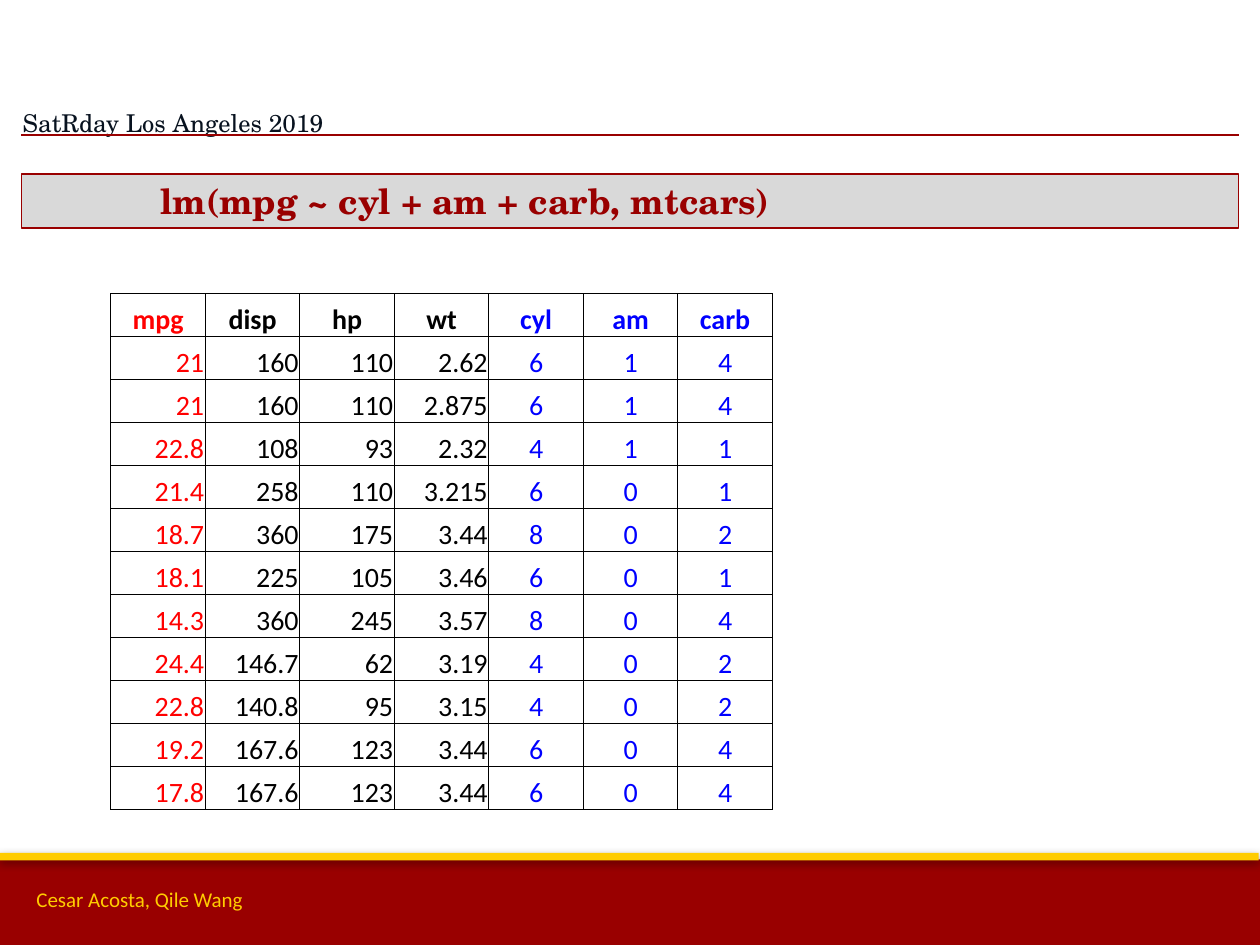
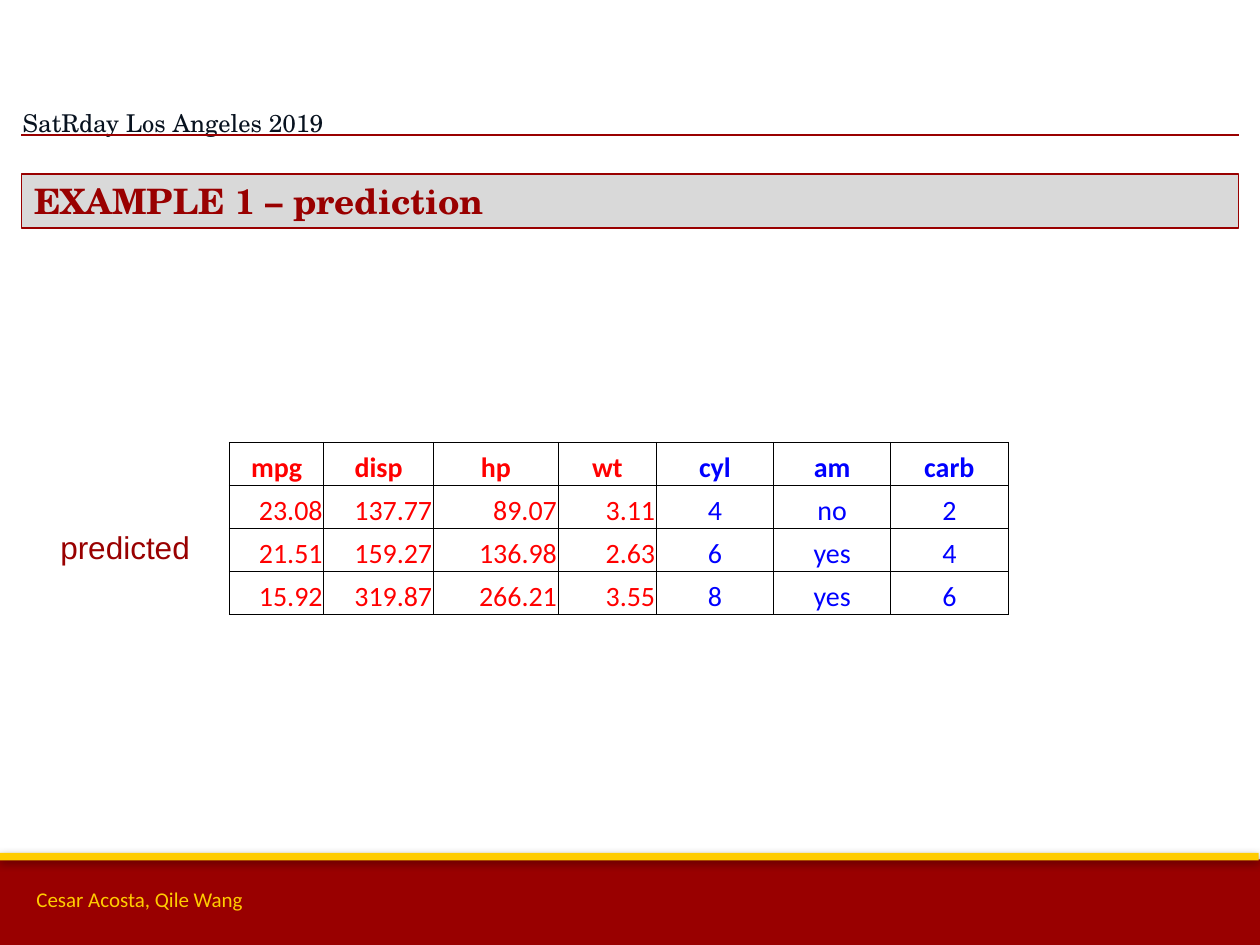
from lxml import etree
from pptx import Presentation
from pptx import util as u
from pptx.dml.color import RGBColor
from pptx.enum import shapes, text
from pptx.oxml import ns

COLOURS = {"cardinal": "990000", "gold": "FFCC00", "grey": "D9D9D9", "ink": "08121F",
           "red": "FF0000", "blue": "0000FF", "black": "000000"}
SERIF, SANS, LABEL = "TeX Gyre Schola", "Calibri", "Arial"

EVENT = "SatRday Los Angeles 2019"
AUTHORS = "Cesar Acosta, Qile Wang"
COLUMNS = ("mpg", "disp", "hp", "wt", "cyl", "am", "carb")
NUMERIC_COLUMNS = 4  # right-aligned; the remaining factor columns are centred

SLIDES = [
    {
        "title": "lm(mpg ~ cyl + am + carb, mtcars)",
        "title_indent": 1,
        "at": (0.88, 2.33),
        "widths": [0.75] * 7,
        "colours": ["red"] + ["black"] * 3 + ["blue"] * 3,
        "rows": [
            ("21", "160", "110", "2.62", "6", "1", "4"),
            ("21", "160", "110", "2.875", "6", "1", "4"),
            ("22.8", "108", "93", "2.32", "4", "1", "1"),
            ("21.4", "258", "110", "3.215", "6", "0", "1"),
            ("18.7", "360", "175", "3.44", "8", "0", "2"),
            ("18.1", "225", "105", "3.46", "6", "0", "1"),
            ("14.3", "360", "245", "3.57", "8", "0", "4"),
            ("24.4", "146.7", "62", "3.19", "4", "0", "2"),
            ("22.8", "140.8", "95", "3.15", "4", "0", "2"),
            ("19.2", "167.6", "123", "3.44", "6", "0", "4"),
            ("17.8", "167.6", "123", "3.44", "6", "0", "4"),
        ],
    },
    {
        "title": "EXAMPLE 1 – prediction",
        "title_indent": 0,
        "at": (1.82, 3.51),
        "widths": [0.75, 0.87, 0.99, 0.78, 0.93, 0.93, 0.93],
        "colours": ["red"] * 4 + ["blue"] * 3,
        "rows": [
            ("23.08", "137.77", "89.07", "3.11", "4", "no", "2"),
            ("21.51", "159.27", "136.98", "2.63", "6", "yes", "4"),
            ("15.92", "319.87", "266.21", "3.55", "8", "yes", "6"),
        ],
        "label": "predicted",
    },
]
ROW_HEIGHT = u.Inches(4.1) // 12


def rgb(colour):
    return RGBColor.from_string(COLOURS[colour])


def inches(*lengths):
    return [u.Inches(length) for length in lengths]


def write(frame, words, font, size, colour, bold=False, align=text.PP_ALIGN.LEFT):
    frame.text = words
    paragraph = frame.paragraphs[0]
    paragraph.alignment = align
    style = paragraph.runs[0].font
    style.name, style.size, style.bold = font, u.Pt(size), bold
    style.color.rgb = rgb(colour)
    return paragraph


def set_insets(holder, left, top, right, bottom):
    """Set the inner margins of a cell or a text frame."""
    holder.margin_left, holder.margin_top, holder.margin_right, holder.margin_bottom = inches(
        left, top, right, bottom)


def rule_cell(cell, colour, width, sides="LRTB"):
    """Draw the named cell borders, hide the others, and clear the fill."""
    properties = cell._tc.get_or_add_tcPr()
    for side in "LRTB":
        line = etree.SubElement(properties, ns.qn(f"a:ln{side}"), w=str(u.Pt(width)))
        if side in sides:
            fill = etree.SubElement(line, ns.qn("a:solidFill"))
            etree.SubElement(fill, ns.qn("a:srgbClr"), val=COLOURS[colour])
        else:
            etree.SubElement(line, ns.qn("a:noFill"))
    cell.fill.background()


def add_plain_table(slide, at, widths, row_count, row_height):
    table = slide.shapes.add_table(row_count, len(widths), *inches(*at, sum(widths)),
                                   row_height * row_count).table
    table.first_row = table.horz_banding = False
    for column, width in zip(table.columns, widths):
        column.width = u.Inches(width)
    for row in table.rows:
        row.height = row_height
    return table


def add_band(slide, box, colour, shadow_alpha, shadow_distance):
    band = slide.shapes.add_shape(shapes.MSO_SHAPE.RECTANGLE, *inches(*box))
    band.fill.solid()
    band.fill.fore_color.rgb = rgb(colour)
    band.line.fill.background()
    band.shadow.inherit = False
    effects = band._element.spPr.find(ns.qn("a:effectLst"))
    shadow = etree.SubElement(effects, ns.qn("a:outerShdw"), blurRad=str(u.Pt(5)),
                              dist=str(u.Pt(shadow_distance)), dir="5400000", rotWithShape="0")
    tint = etree.SubElement(shadow, ns.qn("a:srgbClr"), val=COLOURS["black"])
    etree.SubElement(tint, ns.qn("a:alpha"), val=str(shadow_alpha * 1000))


def add_label(slide, box, words, font, size, colour):
    frame = slide.shapes.add_textbox(*inches(*box)).text_frame
    frame.word_wrap = True
    frame.vertical_anchor = text.MSO_ANCHOR.MIDDLE
    write(frame, words, font, size, colour)
    return frame


def add_header_cell(slide, at, height):
    """Add a one-cell table underlined in cardinal and return its cell."""
    cell = add_plain_table(slide, at, [9.65], 1, u.Inches(height)).cell(0, 0)
    set_insets(cell, 0, 0, 0, 0)
    rule_cell(cell, "cardinal", 1, "B")
    return cell


def add_frame(slide):
    """Add the footer bands, the authors and the event header."""
    add_band(slide, (0, 6.82, 10, 0.68), "cardinal", 35, 1.8)
    add_band(slide, (-0.01, 6.77, 10, 0.06), "gold", 38, 1.6)
    rule = add_header_cell(slide, (0.17, 0.84), 0.23)
    etree.SubElement(rule.text_frame.paragraphs[0]._p, ns.qn("a:endParaRPr"), sz="1200")
    add_label(slide, (0.19, 6.99, 3.08, 0.3), AUTHORS, SANS, 12, "gold")
    event = add_header_cell(slide, (0.18, 0.83), 0.24)
    write(event.text_frame, EVENT, SERIF, 14, "ink")


def move_to_layout(slide):
    """Hand the parts drawn on the slide over to its layout, so all slides share them."""
    tree = slide.slide_layout.shapes._spTree
    parts = [part for part in slide.shapes if not part.is_placeholder]
    for number, part in enumerate(parts, start=100):
        part._element.xpath(".//p:cNvPr")[0].set("id", str(number))
        tree.append(part._element)


def format_title(title, words, indent):
    title.left, title.top, title.width, title.height = inches(0.17, 1.38, 9.66, 0.43)
    title.fill.solid()
    title.fill.fore_color.rgb = rgb("grey")
    title.line.color.rgb = rgb("cardinal")
    title.line.width = u.Pt(0.75)
    frame = title.text_frame
    frame.word_wrap = True
    frame.auto_size = text.MSO_AUTO_SIZE.NONE
    frame.vertical_anchor = text.MSO_ANCHOR.BOTTOM
    set_insets(frame, 0.1, 0, 0.1, 0.05)
    paragraph = write(frame, words, SERIF, 20, "cardinal", bold=True)
    paragraph.line_spacing = 0.9
    paragraph._p.get_or_add_pPr().set("marL", str(u.Inches(indent)))


def add_data(slide, content):
    rows = [COLUMNS] + content["rows"]
    table = add_plain_table(slide, content["at"], content["widths"], len(rows), ROW_HEIGHT)
    for r, values in enumerate(rows):
        for c, (value, colour) in enumerate(zip(values, content["colours"])):
            cell = table.cell(r, c)
            heading = r == 0
            right = not heading and c < NUMERIC_COLUMNS
            set_insets(cell, 0.01, 0.01, 0.01, 0)
            cell.vertical_anchor = text.MSO_ANCHOR.BOTTOM
            write(cell.text_frame, value, SANS, 16, colour, heading,
                  text.PP_ALIGN.RIGHT if right else text.PP_ALIGN.CENTER)
            rule_cell(cell, "black", 0.5)


def main():
    deck = Presentation()
    deck.slide_width, deck.slide_height = inches(10, 7.5)
    title_only = deck.slide_layouts[5]
    pages = [deck.slides.add_slide(title_only) for _ in SLIDES]
    add_frame(pages[0])
    move_to_layout(pages[0])
    for slide, content in zip(pages, SLIDES):
        format_title(slide.shapes.title, content["title"], content["title_indent"])
        if "label" in content:
            label = add_label(slide, (0.38, 2.19, 9.45, 3.68), content["label"],
                              LABEL, 18, "cardinal")
            label.margin_top = u.Inches(0.67)
        add_data(slide, content)
    deck.save("out.pptx")


if __name__ == "__main__":
    main()
